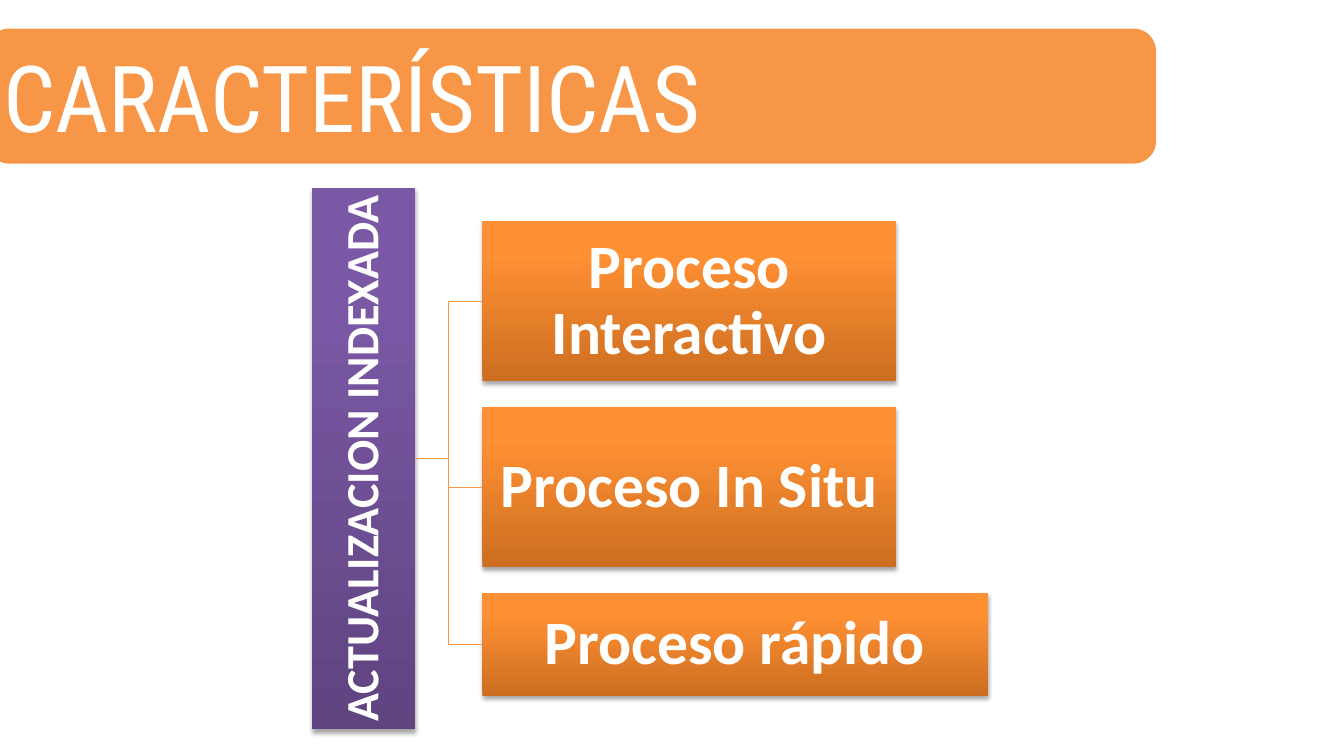
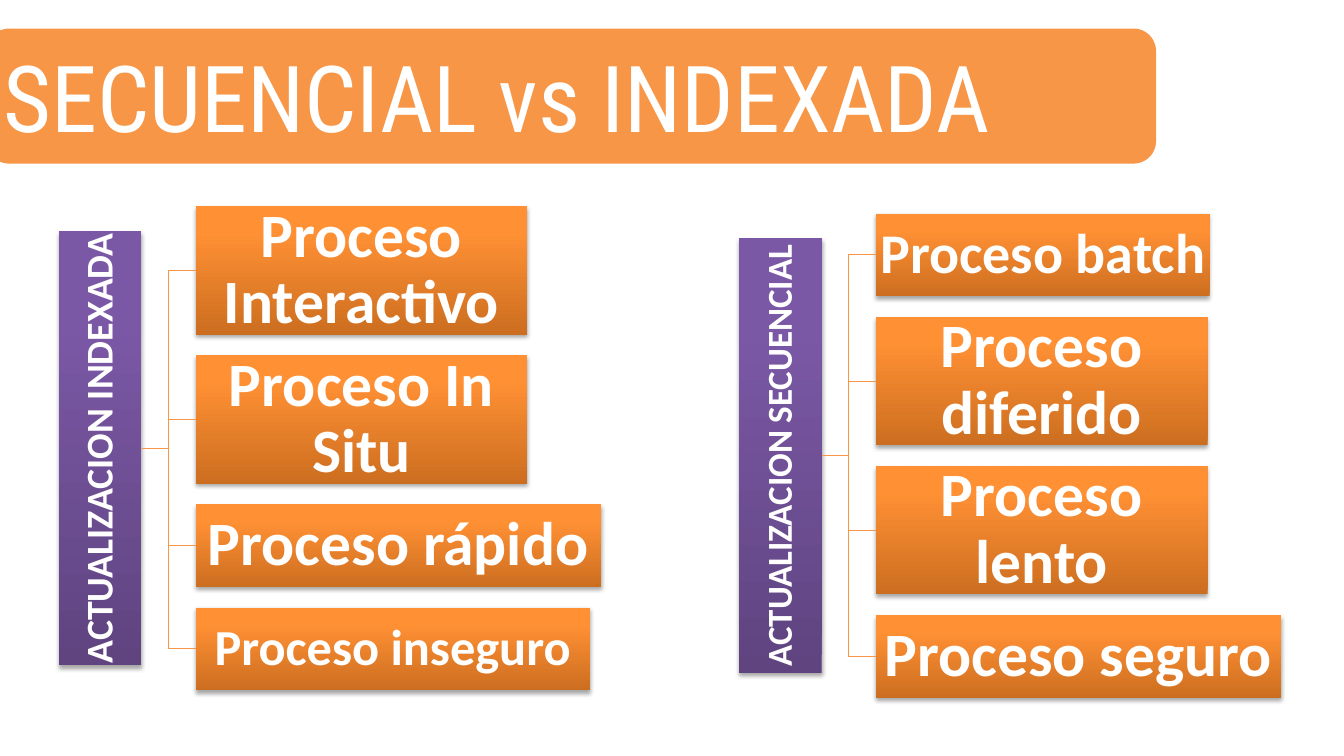
from lxml import etree
from pptx import Presentation
from pptx.dml.color import RGBColor
from pptx.enum.shapes import MSO_CONNECTOR as CONN, MSO_SHAPE as SHAPE
from pptx.enum.text import MSO_ANCHOR as ANCHOR, MSO_AUTO_SIZE as FIT, PP_ALIGN as ALIGN
from pptx.oxml.ns import qn
from pptx.util import Pt

COLORS = {
    "accent": "F79646",
    "white": "FFFFFF",
    "shadow": "000000",
    "purple dark": "5F4480",
    "purple light": "7B58A6",
    "orange dark": "CC6E20",
    "orange light": "FF9034",
}
TITLE_FONT = "Roboto Condensed"
BODY_FONT = "Calibri"

# Proportions of a tree, as multiples of the width of its bar.
BAR_LENGTH = 5.26
BRANCH_LENGTH = 0.656
TALL_BOX = 1.555
BOX_GAP = 0.25


def rgb(name):
    """Return a named colour."""
    return RGBColor.from_string(COLORS[name])


def set_text(shape, text, size, font, align, bold=False):
    """Write one white paragraph in a shape and return the paragraph."""
    tf = shape.text_frame
    tf.text = text
    p = tf.paragraphs[0]
    p.alignment = align
    f = p.runs[0].font
    f.name, f.size, f.bold = font, Pt(size), bold
    f.color.rgb = rgb("white")
    return p


def add_title(s, text):
    """Draw the title band that runs in from the left edge."""
    sp = s.shapes.add_shape(SHAPE.ROUNDED_RECTANGLE, Pt(-9.4), Pt(20.4), Pt(835.2), Pt(96.5))
    sp.shadow.inherit = False
    sp.fill.solid()
    sp.fill.fore_color.rgb = rgb("accent")
    sp.line.fill.background()
    tf = sp.text_frame
    tf.word_wrap = True
    tf.vertical_anchor = ANCHOR.TOP
    tf.auto_size = FIT.SHAPE_TO_FIT_TEXT
    set_text(sp, text, 66, TITLE_FONT, ALIGN.LEFT)


def add_shadow(sp):
    """Give a shape a soft shadow straight below it."""
    sp.shadow.inherit = False
    effects = sp._element.spPr.find(qn("a:effectLst"))
    shadow = etree.SubElement(effects, qn("a:outerShdw"), blurRad="40000", dist="23000",
                              dir="5400000", rotWithShape="0")
    color = etree.SubElement(shadow, qn("a:srgbClr"), val=COLORS["shadow"])
    etree.SubElement(color, qn("a:alpha"), val="35000")


def add_block(group, box, hue, text, size, inset):
    """Draw a shaded, shadowed rectangle with bold centred text."""
    sp = group.shapes.add_shape(SHAPE.RECTANGLE, *(Pt(v) for v in box))
    sp.fill.gradient()
    sp.fill.gradient_angle = 90
    for stop, position, shade in zip(sp.fill.gradient_stops, (0, 0.8), ("dark", "light")):
        stop.position = position
        stop.color.rgb = rgb(f"{hue} {shade}")
    sp.line.fill.background()
    add_shadow(sp)
    tf = sp.text_frame
    tf.word_wrap = True
    tf.vertical_anchor = ANCHOR.MIDDLE
    tf.margin_left = tf.margin_right = tf.margin_top = tf.margin_bottom = Pt(inset)
    p = set_text(sp, text, size, BODY_FONT, ALIGN.CENTER, bold=True)
    p.line_spacing = 0.9
    return sp


def add_branch(group, bar, box):
    """Join the bar to a box with an elbow line."""
    c = group.shapes.add_connector(CONN.ELBOW, 0, 0, 0, 0)
    c.begin_connect(bar, 3)
    c.end_connect(box, 1)
    c.line.color.rgb = rgb("accent")
    c.line.width = Pt(0.75)
    etree.SubElement(c._element.spPr, qn("a:effectLst"))


def add_tree(s, left, middle, unit, label, label_size, items):
    """Draw a vertical bar, of width unit, with its boxes centred on the same height."""
    group = s.shapes.add_group_shape()
    length = BAR_LENGTH * unit
    bar = add_block(group, (left, middle - length / 2, unit, length),
                    "purple", label, label_size, 1.4)
    bar.text_frame.word_wrap = False
    bar.text_frame._txBody.bodyPr.set("vert", "vert270")

    heights = [unit * (TALL_BOX if tall else 1) for _, _, tall, _ in items]
    gap = BOX_GAP * unit
    x = left + unit * (1 + BRANCH_LENGTH)
    y = middle - (sum(heights) + gap * (len(items) - 1)) / 2
    for (text, width, _, size), height in zip(items, heights):
        box = add_block(group, (x, y, width, height), "orange", text, size, 2)
        add_branch(group, bar, box)
        y += height + gap


def add_slide(prs, title, trees):
    """Add a slide with a title band and its trees."""
    s = prs.slides.add_slide(prs.slide_layouts[6])
    add_title(s, title)
    for tree in trees:
        add_tree(s, *tree)


def main():
    """Build both slides and save them."""
    prs = Presentation()
    prs.slide_width, prs.slide_height = Pt(960), Pt(540)

    add_slide(prs, "CARACTERÍSTICAS", [
        (222.9, 327.6, 73.5, "ACTUALIZACION INDEXADA", 33, [
            ("Proceso Interactivo", 295.5, True, 44),
            ("Proceso In Situ", 295.5, True, 44),
            ("Proceso rápido", 361, False, 44),
        ]),
    ])
    add_slide(prs, "SECUENCIAL vs INDEXADA", [
        (42.1, 320.2, 59, "ACTUALIZACION INDEXADA", 27, [
            ("Proceso Interactivo", 236.9, True, 44),
            ("Proceso In Situ", 236.9, True, 44),
            ("Proceso rápido", 289.4, False, 44),
            ("Proceso inseguro", 281.5, False, 36),
        ]),
        (528, 325.5, 59, "ACTUALIZACION SECUENCIAL", 25, [
            ("Proceso batch", 238.3, False, 40),
            ("Proceso diferido", 236.9, True, 44),
            ("Proceso lento", 236.9, True, 44),
            ("Proceso seguro", 289.4, False, 44),
        ]),
    ])
    prs.save("out.pptx")


if __name__ == "__main__":
    main()
